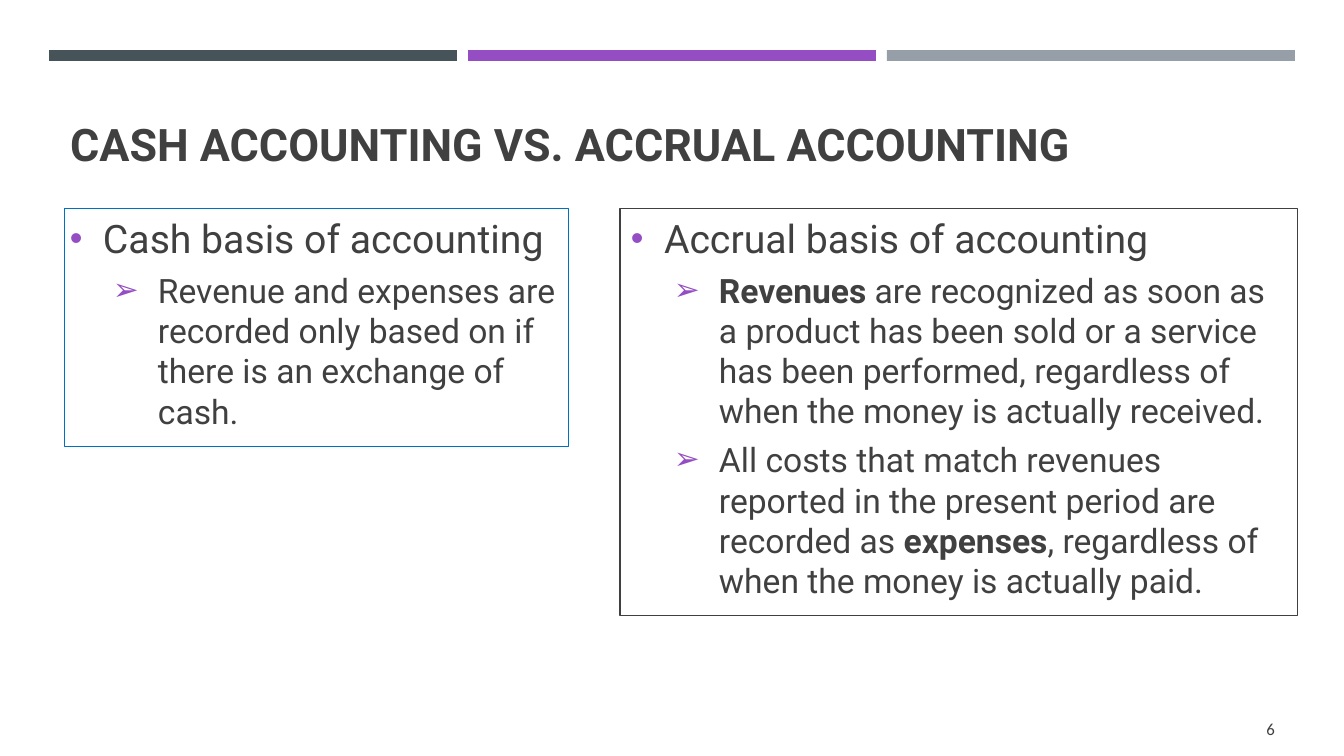
import pptx
import pptx.dml.color
import pptx.enum.shapes
import pptx.enum.text
import pptx.oxml.ns
import pptx.util
from lxml import etree

EMU_PER_PX = 914400 / 100.8
INK = "404040"
PURPLE = "944DC3"
ANCHOR = pptx.enum.text.MSO_ANCHOR
ALIGN = pptx.enum.text.PP_ALIGN


def px(length):
    """Turn whole pixels into EMU."""
    return pptx.util.Emu(round(length * EMU_PER_PX))


def color(value):
    """Turn a hex string into a colour."""
    return pptx.dml.color.RGBColor.from_string(value)


def add_bullet(paragraph, char, indent, hanging):
    """Give a paragraph a purple bullet with a hanging indent."""
    properties = paragraph._p.get_or_add_pPr()
    properties.set("marL", str(px(indent)))
    properties.set("indent", str(-px(hanging)))

    def add(parent, tag, **attributes):
        return etree.SubElement(parent, pptx.oxml.ns.qn(tag), **attributes)

    add(add(properties, "a:buClr"), "a:srgbClr", val=PURPLE)
    add(properties, "a:buSzPct", val="92000")
    add(properties, "a:buFont", typeface="Arial")
    add(properties, "a:buChar", char=char)


def write(paragraph, text, size=24, font="Roboto", bold=False, ink=INK):
    """Append a formatted run to a paragraph."""
    run = paragraph.add_run()
    run.text = text
    run.font.size = pptx.util.Pt(size)
    run.font.name = font
    run.font.bold = bold
    run.font.color.rgb = color(ink)


class AccountingSlide:
    """Holds the style and the current slide."""

    def __init__(self, presentation):
        """Add a blank slide."""
        self.shapes = presentation.slides.add_slide(presentation.slide_layouts[6]).shapes

    def rectangle(self, left, top, width, height, fill=None, line=None):
        """Draw a rectangle with an optional fill and outline."""
        rectangle = self.shapes.add_shape(
            pptx.enum.shapes.MSO_SHAPE.RECTANGLE, px(left), px(top), px(width), px(height))
        rectangle.shadow.inherit = False
        if fill:
            rectangle.fill.solid()
            rectangle.fill.fore_color.rgb = color(fill)
        else:
            rectangle.fill.background()
        if line:
            rectangle.line.color.rgb = color(line)
            rectangle.line.width = pptx.util.Pt(0.75)
        else:
            rectangle.line.fill.background()
        return rectangle

    def frame(self, shape, anchor, side=5, wrap=True):
        """Set the margins, anchor and wrapping of a shape's text."""
        frame = shape.text_frame
        frame.margin_left = frame.margin_right = px(side)
        frame.margin_top = frame.margin_bottom = px(5)
        frame.vertical_anchor = anchor
        frame.word_wrap = wrap
        return frame

    def label(self, text, left, top, width, height, align=ALIGN.LEFT, wrap=True, **style):
        """Place one vertically centred line of text."""
        box = self.shapes.add_textbox(px(left), px(top), px(width), px(height))
        paragraph = self.frame(box, ANCHOR.MIDDLE, wrap=wrap).paragraphs[0]
        paragraph.alignment = align
        write(paragraph, text, **style)

    def panel(self, heading, points, left, top, width, height, line, side):
        """Draw an outlined panel with a heading and its points."""
        outline = self.rectangle(left, top, width, height, line=line)
        frame = self.frame(outline, ANCHOR.TOP, side)
        title = frame.paragraphs[0]
        title.alignment = ALIGN.LEFT
        add_bullet(title, "•", 33, 33)
        write(title, heading, size=28)
        for point in points:
            paragraph = frame.add_paragraph()
            paragraph.alignment = ALIGN.LEFT
            paragraph.level = 1
            paragraph.space_before = pptx.util.Pt(6)
            add_bullet(paragraph, "➢", 88, 45)
            for text, bold in point:
                write(paragraph, text, bold=bold)


def main():
    """Build and save the slide."""
    presentation = pptx.Presentation()
    presentation.slide_width = px(1344)
    presentation.slide_height = px(756)
    slide = AccountingSlide(presentation)

    for column, bar_color in enumerate(("465359", PURPLE, "969FA7")):
        slide.rectangle(49 + 419 * column, 50, 408, 11, fill=bar_color)

    slide.label("CASH ACCOUNTING VS. ACCRUAL ACCOUNTING", 65, 78, 1216, 131, size=32, bold=True)

    cash_points = [
        [("Revenue and expenses are recorded only based on if there is an exchange of cash.", False)],
    ]
    accrual_points = [
        [("Revenues", True),
         (" are recognized as soon as a product has been sold or a service has been performed, "
          "regardless of when the money is actually received.", False)],
        [("All costs that match revenues reported in the present period are recorded as ", False),
         ("expenses", True),
         (", regardless of when the money is actually paid.", False)],
    ]
    slide.panel("Cash basis of accounting", cash_points, 65, 209, 504, 238, "0070C0", 5)
    slide.panel("Accrual basis of accounting", accrual_points, 620, 209, 678, 407, INK, 11)

    slide.label("6", 1259, 714, 21, 29, align=ALIGN.RIGHT, wrap=False, size=12, font="Calibri")
    presentation.save("out.pptx")


if __name__ == "__main__":
    main()
